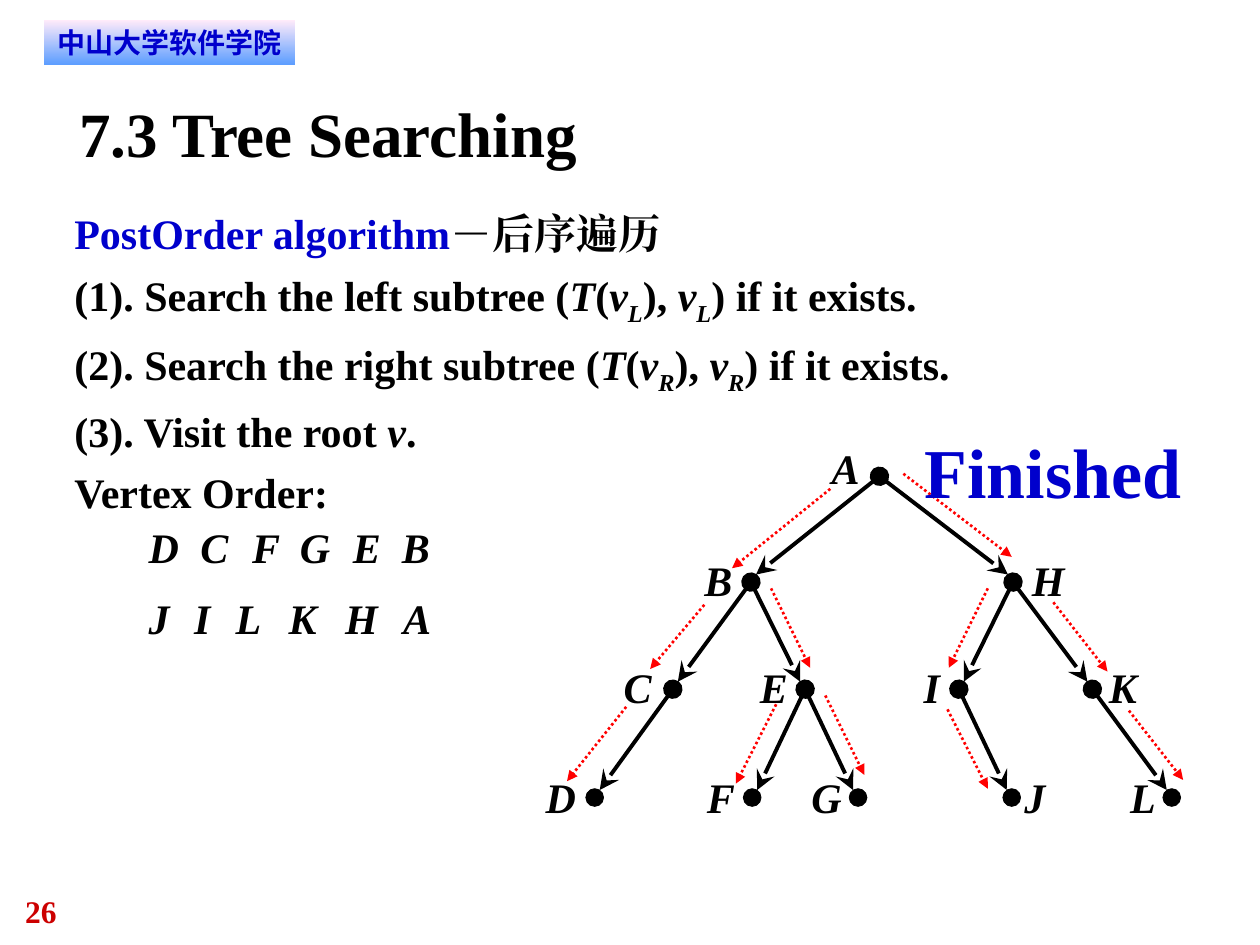
from lxml import etree
from pptx import Presentation
from pptx import util as u
from pptx.dml.color import RGBColor
from pptx.enum import dml, shapes, text
from pptx.oxml.ns import qn

BLACK = RGBColor(0x00, 0x00, 0x00)
BLUE = RGBColor(0x00, 0x00, 0xCC)
RED = RGBColor(0xFF, 0x00, 0x00)
DARK_RED = RGBColor(0xCC, 0x00, 0x00)
PINK = RGBColor(0xFF, 0xEB, 0xFA)
SKY = RGBColor(0x5E, 0x9E, 0xFF)
SERIF = "Times New Roman"
SANS = "DejaVu Sans"

LETTER_WIDTHS = {"D": 0.24, "G": 0.24, "H": 0.26, "I": 0.13, "J": 0.17, "L": 0.2}
DOT_SIZE = 0.14

# Tree levels: dot centre y, label top
LEVELS = [(3.78, 3.51), (4.62, 4.4), (5.47, 5.25), (6.33, 6.12)]
# Nodes: level, dot centre x, label left
NODES = {
    "A": (0, 6.98, 6.6),
    "B": (1, 5.96, 5.59), "H": (1, 8.04, 8.19),
    "C": (2, 5.34, 4.95), "E": (2, 6.39, 6.03),
    "I": (2, 7.61, 7.33), "K": (2, 8.67, 8.8),
    "D": (3, 4.72, 4.33), "F": (3, 5.97, 5.61), "G": (3, 6.81, 6.44),
    "J": (3, 8.03, 8.13), "L": (3, 9.3, 8.97),
}
CHILDREN = {"A": "BH", "B": "CE", "C": "D", "E": "FG", "H": "IK", "I": "J", "K": "L"}

# Dotted search steps: from x, from y, to x, to y
STEPS = [
    (6.16, 5.59, 5.84, 6.22), (6.55, 5.52, 6.86, 6.15), (6.12, 4.67, 6.43, 5.3),
    (5.59, 4.8, 5.16, 5.31), (4.97, 5.61, 4.5, 6.2), (7.84, 4.67, 7.53, 5.3),
    (7.52, 5.63, 7.84, 6.26), (8.36, 4.78, 8.79, 5.33), (8.96, 5.64, 9.39, 6.19),
    (7.17, 3.76, 8.03, 4.42), (6.59, 3.88, 5.81, 4.51),
]

# Visiting order: top of the row, then letters with their left edges
ORDER = [
    (4.14, {"D": 1.18, "C": 1.59, "F": 2.0, "G": 2.38, "E": 2.8, "B": 3.19}),
    (4.7, {"J": 1.18, "I": 1.54, "L": 1.87, "K": 2.29, "H": 2.74, "A": 3.2}),
]


def search_step(number, side, sub):
    return [(f"({number}). Search the {side} subtree (", ""), ("T", "i"), ("(", ""),
            ("v", "i"), (sub, "sub"), ("), ", ""), ("v", "i"), (sub, "sub"),
            (") if it exists.", "")]


ALGORITHM = [
    [("PostOrder algorithm", "blue"), ("－后序遍历", "")],
    search_step(1, "left", "L"),
    search_step(2, "right", "R"),
    [("(3). Visit the root ", ""), ("v", "i"), (".", "")],
    [("Vertex Order:", "")],
]


class SlideBuilder:
    def __init__(self, slide):
        self.slide = slide

    def style(self, run, size, color=BLACK, italic=False, font=SERIF):
        run.font.name, run.font.size = font, u.Pt(size)
        run.font.bold, run.font.italic = True, italic
        run.font.color.rgb = color
        etree.SubElement(run.font._element, qn("a:ea"), typeface=font)

    def place(self, shape, left, top, width, height):
        shape.left, shape.top = u.Inches(left), u.Inches(top)
        shape.width, shape.height = u.Inches(width), u.Inches(height)
        frame = shape.text_frame
        frame.margin_left = frame.margin_right = 0
        frame.margin_top = frame.margin_bottom = 0
        frame.auto_size = text.MSO_AUTO_SIZE.NONE
        frame.vertical_anchor = text.MSO_ANCHOR.TOP
        return frame

    def title(self, wording, *box):
        frame = self.place(self.slide.shapes.title, *box)
        frame.text = wording
        frame.paragraphs[0].alignment = text.PP_ALIGN.LEFT
        self.style(frame.paragraphs[0].runs[0], 36)

    def body(self, lines, *box):
        frame = self.place(self.slide.placeholders[1], *box)
        for index, line in enumerate(lines):
            paragraph = frame.add_paragraph() if index else frame.paragraphs[0]
            properties = paragraph._p.get_or_add_pPr()
            properties.set("marL", "0")
            properties.set("indent", "0")
            etree.SubElement(properties, qn("a:buNone"))
            paragraph.line_spacing = 1.2
            paragraph.space_before = u.Pt(0)
            for wording, kind in line:
                run = paragraph.add_run()
                run.text = wording
                self.style(run, 24, BLUE if kind == "blue" else BLACK,
                           kind in ("i", "sub"))
                if kind == "sub":
                    run.font._element.set("baseline", "-25000")

    def label(self, wording, *box, size=24, color=BLACK, italic=False):
        shape = self.slide.shapes.add_textbox(0, 0, 0, 0)
        frame = self.place(shape, *box)
        frame.word_wrap = False
        frame.text = wording
        self.style(frame.paragraphs[0].runs[0], size, color, italic)

    def letter(self, wording, left, top):
        self.label(wording, left, top, LETTER_WIDTHS.get(wording, 0.22), 0.4, italic=True)

    def shape(self, kind, left, top, width, height):
        shape = self.slide.shapes.add_shape(
            kind, u.Inches(left), u.Inches(top), u.Inches(width), u.Inches(height))
        shape.shadow.inherit = False
        return shape

    def banner(self, wording, *box):
        shape = self.shape(shapes.MSO_SHAPE.RECTANGLE, *box)
        shape.fill.gradient()
        shape.fill.gradient_angle = 270
        for stop, color in zip(shape.fill.gradient_stops, (PINK, SKY)):
            stop.color.rgb = color
        shape.line.fill.background()
        frame = shape.text_frame
        frame.margin_left = frame.margin_right = u.Inches(0.08)
        frame.margin_top = frame.margin_bottom = u.Inches(0.04)
        frame.text = wording
        frame.paragraphs[0].alignment = text.PP_ALIGN.CENTER
        self.style(frame.paragraphs[0].runs[0], 16, BLUE, font=SANS)

    def dot(self, x, y):
        shape = self.shape(shapes.MSO_SHAPE.OVAL, x - DOT_SIZE / 2, y - DOT_SIZE / 2,
                           DOT_SIZE, DOT_SIZE)
        shape.fill.solid()
        shape.fill.fore_color.rgb = BLACK
        shape.line.color.rgb = BLACK
        shape.line.width = u.Pt(0.5)

    def arrow(self, x1, y1, x2, y2, color, width, tip, size, start=None, dotted=False):
        connector = self.slide.shapes.add_connector(
            shapes.MSO_CONNECTOR.STRAIGHT,
            u.Inches(x1), u.Inches(y1), u.Inches(x2), u.Inches(y2))
        connector.line.color.rgb = color
        connector.line.width = u.Pt(width)
        if dotted:
            connector.line.dash_style = dml.MSO_LINE.ROUND_DOT
        line = connector.line._get_or_add_ln()
        if start:
            etree.SubElement(line, qn("a:headEnd"), type=start, w=size, len=size)
        etree.SubElement(line, qn("a:tailEnd"), type=tip, w=size, len=size)
        etree.SubElement(connector._element.spPr, qn("a:effectLst"))

    def tree(self):
        for parent, children in CHILDREN.items():
            level, x, _ = NODES[parent]
            for index, child in enumerate(children):
                child_level, child_x, _ = NODES[child]
                end_x = child_x + (0.04 if child_x < x else -0.04)
                self.arrow(x, LEVELS[level][0], end_x, LEVELS[child_level][0] - 0.06,
                           BLACK, 2.25, "stealth", "lg", None if index else "oval")
        for name, (level, x, label_left) in NODES.items():
            dot_y, label_top = LEVELS[level]
            if name not in CHILDREN:
                self.dot(x, dot_y)
            self.letter(name, label_left, label_top)


def main():
    presentation = Presentation()
    presentation.slide_width, presentation.slide_height = u.Inches(10), u.Inches(7.5)
    builder = SlideBuilder(presentation.slides.add_slide(presentation.slide_layouts[1]))

    # Page number, banner, title and algorithm
    builder.label("26", 0.2, 7.08, 0.25, 0.3, size=18, color=DARK_RED)
    builder.banner("中山大学软件学院", 0.35, 0.16, 1.99, 0.35)
    builder.title("7.3 Tree Searching", 0.63, 0.75, 8.75, 0.6)
    builder.body(ALGORITHM, 0.59, 1.57, 8.95, 2.53)

    # Tree and search path
    builder.tree()
    for step in STEPS:
        builder.arrow(*step, RED, 1.5, "triangle", "med", dotted=True)

    # Result
    builder.label("Finished", 7.34, 3.4, 2.04, 0.67, size=40, color=BLUE)
    for top, letters in ORDER:
        for name, left in letters.items():
            builder.letter(name, left, top)

    presentation.save("out.pptx")


if __name__ == "__main__":
    main()
